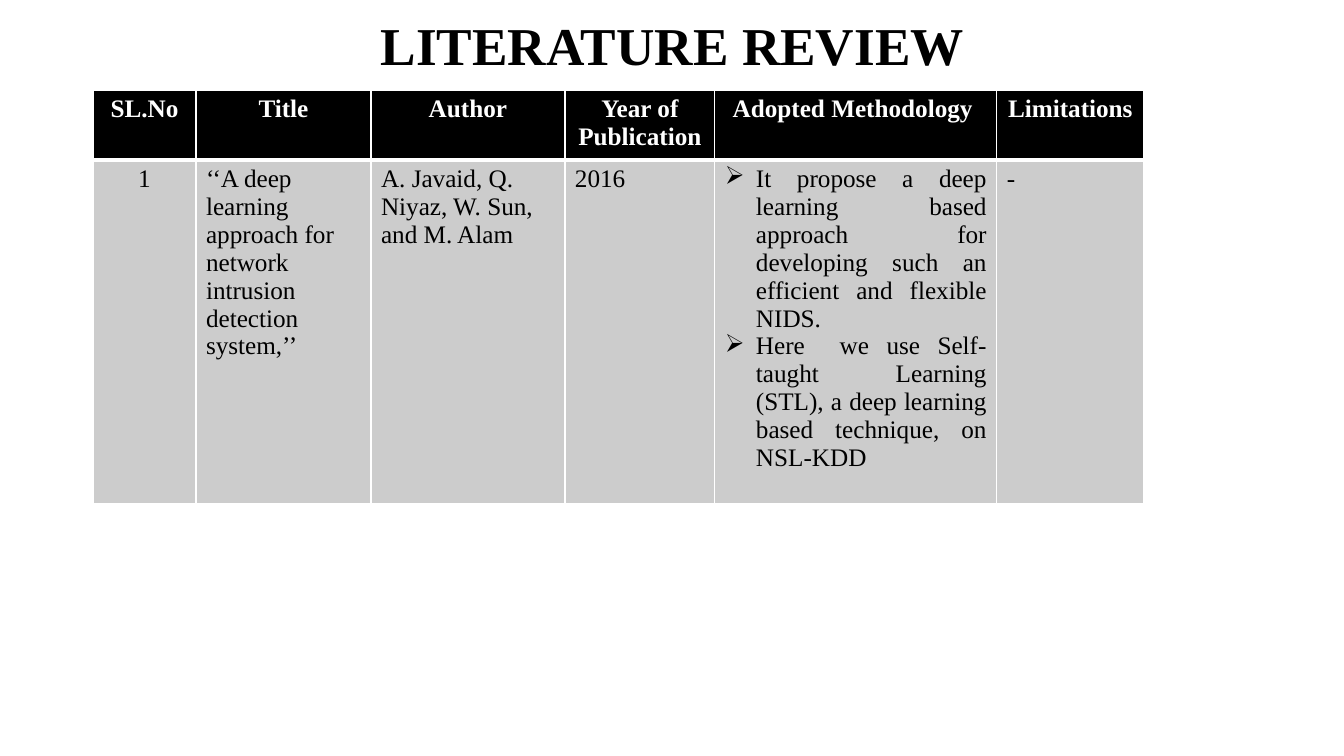
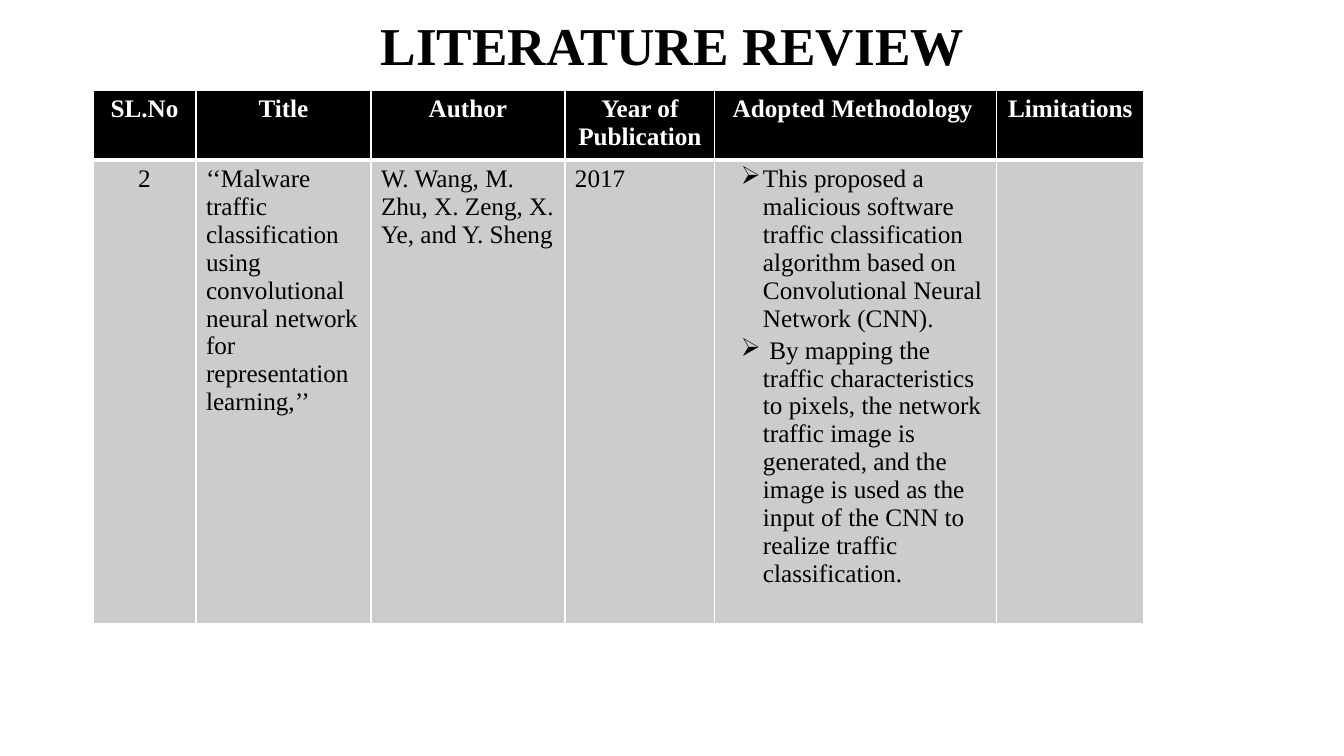
from dataclasses import dataclass

from lxml.etree import SubElement
from pptx import Presentation
from pptx.dml.color import RGBColor
from pptx.enum.text import MSO_ANCHOR, MSO_AUTO_SIZE, PP_ALIGN as Align
from pptx.oxml.ns import qn
from pptx.util import Pt

HEADING = "LITERATURE REVIEW"
HEADERS = ["SL.No", "Title", "Author", "Year of Publication",
           "Adopted Methodology ", "Limitations"]
REVIEWS = [
    {
        "cells": ["1",
                  "‘‘A deep learning approach for network intrusion detection system,’’",
                  "A. Javaid, Q. Niyaz, W. Sun, and M. Alam",
                  "2016",
                  ["It propose a deep learning based approach for developing such "
                   "an efficient and flexible NIDS. ",
                   "Here  we use Self-taught Learning (STL), a deep learning based "
                   "technique, on NSL-KDD"],
                  "-"],
        "row_height": 344,
        "methods": {"align": Align.JUSTIFY, "margin": 31, "hanging": 31},
    },
    {
        "cells": ["2",
                  "‘‘Malware traffic classification using convolutional neural "
                  "network for representation learning,’’ ",
                  "W. Wang, M. Zhu, X. Zeng, X. Ye, and Y. Sheng",
                  "2017",
                  ["This proposed a malicious software traffic classification "
                   "algorithm based on Convolutional Neural Network (CNN).",
                   " By mapping the traffic characteristics to pixels, the network "
                   "traffic image is generated, and the image is used as the input "
                   "of the CNN to realize traffic classification."],
                  ""],
        "row_height": 464,
        "methods": {"margin": 38, "hanging": 22, "after": 3},
    },
]

SLIDE_SIZE = (1344, 756)
SCALE = 12192000 / SLIDE_SIZE[0]
TITLE_BOX = (93, 7, 1159, 83)
TABLE_LEFT, TABLE_TOP = 93, 90
COLUMN_WIDTHS = [103, 175, 194, 150, 282, 147]
HEADER_HEIGHT = 70
NUMBER_COLUMN, METHOD_COLUMN = 0, 4


@dataclass(frozen=True)
class Theme:
    """Colours, font and sizes shared by the slides."""
    font: str = "Times New Roman"
    ink: str = "000000"
    paper: str = "FFFFFF"
    body_fill: str = "CCCCCC"
    title_size: int = 38
    text_size: int = 18
    thin: int = 1
    thick: int = 3
    bullet: str = "➢"


THEME = Theme()


def px(length):
    """Turn picture pixels into EMU."""
    return round(length * SCALE)


def write(frame, lines, *, size=THEME.text_size, color=THEME.ink, bold=False,
          align=Align.LEFT, spacing=None, after=0, margin=0, hanging=0):
    """Write paragraphs; a hanging indent makes them bulleted."""
    for index, line in enumerate(lines):
        para = frame.add_paragraph() if index else frame.paragraphs[0]
        para.alignment = align
        para.line_spacing = spacing
        para.space_after = Pt(after)
        if hanging:
            properties = para._p.get_or_add_pPr()
            properties.set("marL", str(px(margin)))
            properties.set("indent", str(-px(hanging)))
            SubElement(properties, qn("a:buChar"), char=THEME.bullet)
        span = para.add_run()
        span.text = line
        span.font.name = THEME.font
        span.font.size = Pt(size)
        span.font.bold = bold
        span.font.color.rgb = RGBColor.from_string(color)


def style_cell(cell, fill, top, bottom):
    """Give a cell white borders and a solid fill."""
    properties = cell._tc.get_or_add_tcPr()
    widths = {"L": THEME.thin, "R": THEME.thin, "T": top, "B": bottom}
    for side, width in widths.items():
        line = SubElement(properties, qn(f"a:ln{side}"), w=str(Pt(width)))
        SubElement(SubElement(line, qn("a:solidFill")), qn("a:srgbClr"),
                   val=THEME.paper)
    cell.fill.solid()
    cell.fill.fore_color.rgb = RGBColor.from_string(fill)


def add_title(page):
    """Place and format the title placeholder."""
    title = page.shapes.title
    title.left, title.top, title.width, title.height = map(px, TITLE_BOX)
    frame = title.text_frame
    frame.auto_size = MSO_AUTO_SIZE.NONE
    frame.vertical_anchor = MSO_ANCHOR.MIDDLE
    write(frame, [HEADING], size=THEME.title_size, bold=True,
          align=Align.CENTER, spacing=0.9)


def add_review_table(page, review):
    """Add the header row and one reviewed paper."""
    heights = [HEADER_HEIGHT, review["row_height"]]
    table = page.shapes.add_table(
        len(heights), len(HEADERS), px(TABLE_LEFT), px(TABLE_TOP),
        px(sum(COLUMN_WIDTHS)), px(sum(heights))).table
    for row, height in zip(table.rows, heights):
        row.height = px(height)
    formats = {NUMBER_COLUMN: {"align": Align.CENTER},
               METHOD_COLUMN: review["methods"]}
    for index, width in enumerate(COLUMN_WIDTHS):
        table.columns[index].width = px(width)
        header, body = table.cell(0, index), table.cell(1, index)
        style_cell(header, THEME.ink, THEME.thin, THEME.thick)
        style_cell(body, THEME.body_fill, THEME.thick, THEME.thin)
        write(header.text_frame, [HEADERS[index]], color=THEME.paper,
              bold=True, align=Align.CENTER)
        content = review["cells"][index]
        if content:
            lines = [content] if isinstance(content, str) else content
            write(body.text_frame, lines, **formats.get(index, {}))


def build():
    """Build and save the deck."""
    deck = Presentation()
    deck.slide_width, deck.slide_height = map(px, SLIDE_SIZE)
    title_only = deck.slide_layouts[5]
    for review in REVIEWS:
        page = deck.slides.add_slide(title_only)
        add_title(page)
        add_review_table(page, review)
    deck.save("out.pptx")


build()
